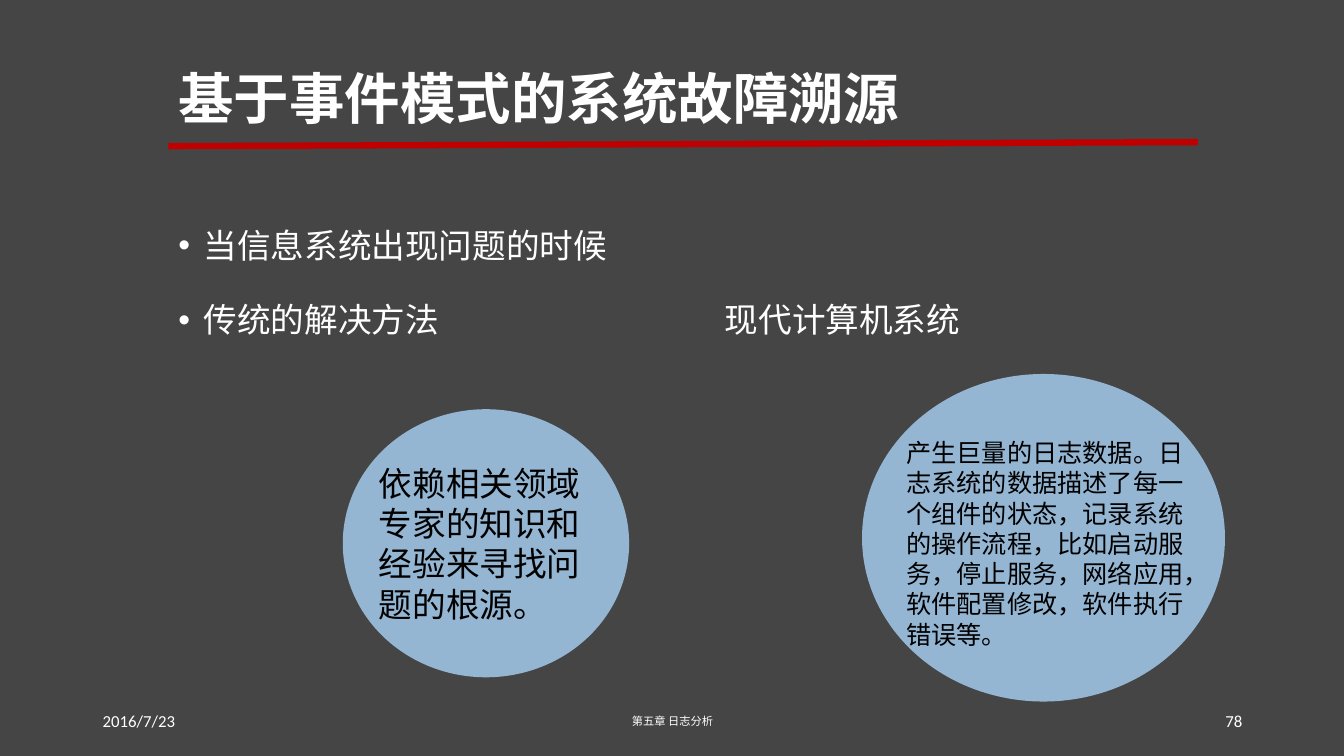
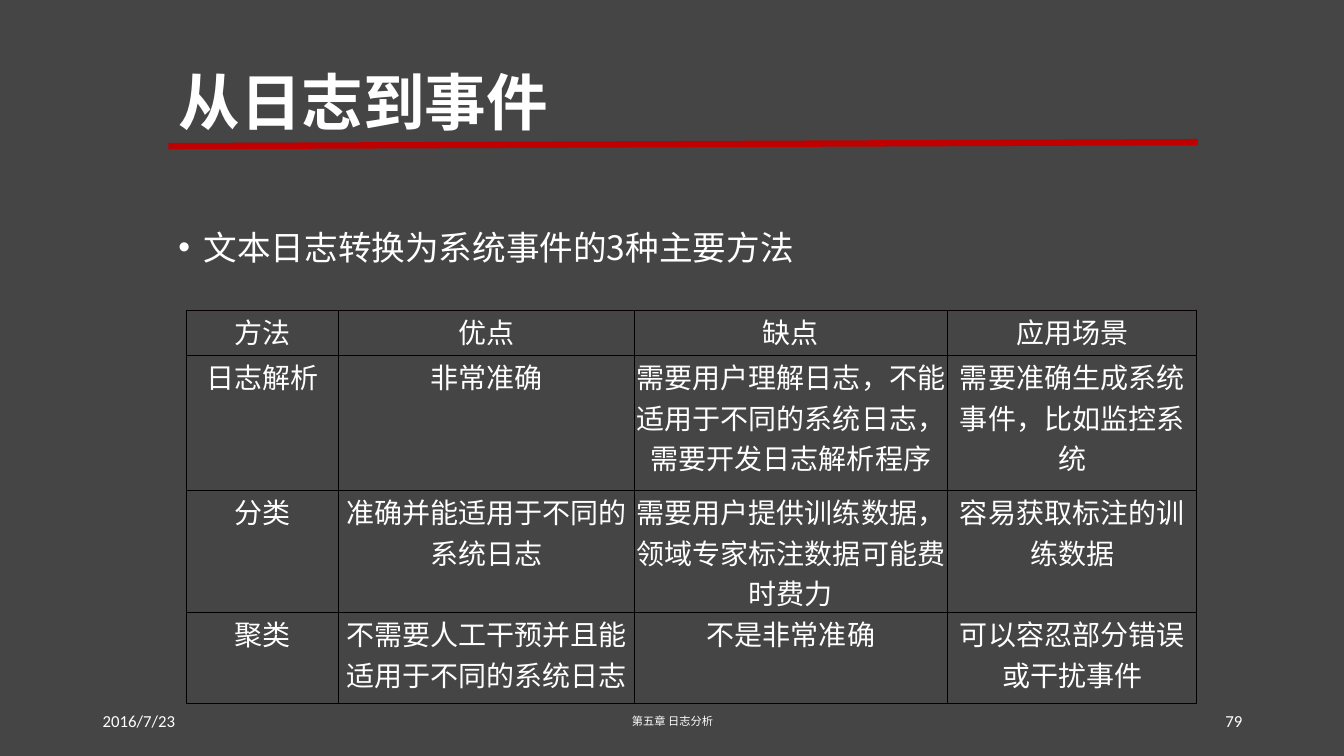
from dataclasses import dataclass
from typing import Any, Optional

from lxml.etree import SubElement
from pptx import Presentation
from pptx.dml.color import RGBColor
from pptx.enum.shapes import MSO_CONNECTOR, MSO_SHAPE
from pptx.enum.text import MSO_ANCHOR, MSO_AUTO_SIZE, PP_ALIGN
from pptx.oxml.ns import qn
from pptx.util import Inches, Pt


@dataclass(frozen=True)
class Theme:
    background: str = "454545"
    light: str = "FFFFFF"
    dark: str = "000000"
    accent: str = "C00000"
    circle: str = "94B6D2"
    outer_border: str = "080000"
    chinese_font: str = "Noto Sans CJK SC"
    latin_font: str = "Calibri"
    body_size: float = 24
    table_size: float = 20
    footer_size: float = 12
    chapter_size: float = 8


THEME = Theme()


@dataclass(frozen=True)
class Box:
    left: float
    top: float
    width: float
    height: float

    def lengths(self) -> tuple:
        return tuple(Inches(value) for value in (self.left, self.top, self.width, self.height))


@dataclass(frozen=True)
class TextStyle:
    size: float
    color: str = THEME.light
    font: str = THEME.chinese_font
    bold: bool = False


@dataclass(frozen=True)
class FooterPart:
    text: str
    box: Box
    alignment: PP_ALIGN
    style: TextStyle


@dataclass(frozen=True)
class Circle:
    outline: Box
    text_box: Box
    text: str
    size: float


@dataclass(frozen=True)
class Page:
    number: int
    title: str
    title_size: float
    title_top: float
    body_top: float
    bullets: tuple
    tab_position: Optional[float] = None


EVENT_PAGE = Page(
    78, "基于事件模式的系统故障溯源", 39.6, 0.28, 1.98,
    ("当信息系统出现问题的时候", "传统的解决方法\t现代计算机系统"), 5.42,
)
METHOD_PAGE = Page(79, "从日志到事件", 44, 0.32, 2, ("文本日志转换为系统事件的3种主要方法",))
CIRCLES = (
    Circle(
        Box(8.55, 3.71, 3.6, 3.25), Box(8.89, 4.29, 3.13, 2.2),
        "产生巨量的日志数据。日志系统的数据描述了每一个组件的状态，记录系统的操作流程，"
        "比如启动服务，停止服务，网络应用，软件配置修改，软件执行错误等。", 18,
    ),
    Circle(
        Box(3.4, 4.06, 2.84, 2.66), Box(3.66, 4.54, 2.33, 1.7),
        "依赖相关领域专家的知识和经验来寻找问题的根源。", 24,
    ),
)
METHOD_ROWS = (
    ("方法", "优点", "缺点", "应用场景"),
    ("日志解析", "非常准确", "需要用户理解日志，不能适用于不同的系统日志，需要开发日志解析程序",
     "需要准确生成系统事件，比如监控系统"),
    ("分类", "准确并能适用于不同的系统日志", "需要用户提供训练数据，领域专家标注数据可能费时费力",
     "容易获取标注的训练数据"),
    ("聚类", "不需要人工干预并且能适用于不同的系统日志", "不是非常准确",
     "可以容忍部分错误或干扰事件"),
)
COLUMN_WIDTHS = (1.51, 2.93, 3.11, 2.47)
ROW_HEIGHTS = (0.45, 1.34, 1.21, 0.9)


def color(value: str) -> RGBColor:
    return RGBColor.from_string(value)


def place(shape: Any, box: Box) -> None:
    shape.left, shape.top, shape.width, shape.height = box.lengths()


def add_text(paragraph: Any, text: str, style: TextStyle) -> None:
    run = paragraph.add_run()
    run.text = text
    font = run.font
    font.name = style.font
    font.size = Pt(style.size)
    font.bold = style.bold
    font.color.rgb = color(style.color)
    if style.font == THEME.chinese_font:
        SubElement(font._element, qn("a:ea"), typeface=style.font)


def add_text_box(slide: Any, box: Box, text: str, style: TextStyle,
                 alignment: PP_ALIGN = PP_ALIGN.LEFT,
                 anchor: MSO_ANCHOR = MSO_ANCHOR.TOP) -> None:
    frame = slide.shapes.add_textbox(*box.lengths()).text_frame
    frame.word_wrap = True
    frame.vertical_anchor = anchor
    paragraph = frame.paragraphs[0]
    paragraph.alignment = alignment
    add_text(paragraph, text, style)


def add_title(slide: Any, page: Page) -> None:
    title = slide.shapes.title
    place(title, Box(1.67, page.title_top, 10.21, 1.45))
    frame = title.text_frame
    frame.auto_size = MSO_AUTO_SIZE.NONE
    frame.vertical_anchor = MSO_ANCHOR.MIDDLE
    paragraph = frame.paragraphs[0]
    paragraph.alignment = PP_ALIGN.LEFT
    paragraph.line_spacing = 0.9
    add_text(paragraph, page.title, TextStyle(page.title_size, bold=True))


def add_bullets(slide: Any, page: Page) -> None:
    body = slide.placeholders[1]
    place(body, Box(1.67, page.body_top, 10.21, 4.76))
    frame = body.text_frame
    frame.auto_size = MSO_AUTO_SIZE.NONE
    for index, text in enumerate(page.bullets):
        paragraph = frame.add_paragraph() if index else frame.paragraphs[0]
        paragraph.line_spacing = 1.5
        paragraph.space_before = Pt(10)
        properties = paragraph._p.get_or_add_pPr()
        properties.set("marL", str(Inches(0.25)))
        properties.set("indent", str(-Inches(0.25)))
        SubElement(properties, qn("a:buFont"), typeface="Arial")
        SubElement(properties, qn("a:buChar"), char="•")
        if page.tab_position is not None:
            tabs = SubElement(properties, qn("a:tabLst"))
            SubElement(tabs, qn("a:tab"), pos=str(Inches(page.tab_position)), algn="l")
        add_text(paragraph, text, TextStyle(THEME.body_size))


def add_title_rule(slide: Any) -> None:
    rule = slide.shapes.add_connector(
        MSO_CONNECTOR.STRAIGHT, Inches(1.67), Inches(1.45), Inches(11.88), Inches(1.41)
    )
    rule.line.color.rgb = color(THEME.accent)
    rule.line.width = Pt(4.5)
    SubElement(rule._element.spPr, qn("a:effectLst"))


def add_footer(slide: Any, number: int) -> None:
    small = TextStyle(THEME.footer_size, font=THEME.latin_font)
    parts = (
        FooterPart("2016/7/23", Box(0.92, 6.95, 3, 0.4), PP_ALIGN.LEFT, small),
        FooterPart("第五章 日志分析", Box(4.42, 6.95, 4.5, 0.4), PP_ALIGN.CENTER,
                   TextStyle(THEME.chapter_size)),
        FooterPart(str(number), Box(9.42, 6.95, 3, 0.4), PP_ALIGN.RIGHT, small),
    )
    for part in parts:
        add_text_box(slide, part.box, part.text, part.style, part.alignment, MSO_ANCHOR.MIDDLE)


def add_page(presentation: Any, page: Page) -> Any:
    slide = presentation.slides.add_slide(presentation.slide_layouts[1])
    background = slide.background.fill
    background.solid()
    background.fore_color.rgb = color(THEME.background)
    add_title_rule(slide)
    add_title(slide, page)
    add_bullets(slide, page)
    add_footer(slide, page.number)
    return slide


def add_circle(slide: Any, circle: Circle) -> None:
    shape = slide.shapes.add_shape(MSO_SHAPE.OVAL, *circle.outline.lengths())
    shape.shadow.inherit = False
    shape.fill.solid()
    shape.fill.fore_color.rgb = color(THEME.circle)
    shape.line.fill.background()
    add_text_box(slide, circle.text_box, circle.text,
                 TextStyle(circle.size, THEME.dark, THEME.latin_font))


def add_border(cell: Any, side: str, border_color: str, width: float) -> None:
    properties = cell._tc.get_or_add_tcPr()
    line = SubElement(properties, qn(f"a:ln{side}"), w=str(Pt(width)))
    fill = SubElement(line, qn("a:solidFill"))
    SubElement(fill, qn("a:srgbClr"), val=border_color)


def add_method_table(slide: Any) -> None:
    box = Box(1.85, 3.08, sum(COLUMN_WIDTHS), sum(ROW_HEIGHTS))
    table = slide.shapes.add_table(len(METHOD_ROWS), len(COLUMN_WIDTHS), *box.lengths()).table
    table.first_row = False
    table.horz_banding = False
    for column, width in zip(table.columns, COLUMN_WIDTHS):
        column.width = Inches(width)
    inner = (THEME.dark, 0.75)
    outer = (THEME.outer_border, 1)
    last_row = len(METHOD_ROWS) - 1
    for row_index, (texts, height) in enumerate(zip(METHOD_ROWS, ROW_HEIGHTS)):
        table.rows[row_index].height = Inches(height)
        borders = {
            "L": inner,
            "R": inner,
            "T": outer if row_index <= 1 else inner,
            "B": outer if row_index in (0, last_row) else inner,
        }
        for column_index, text in enumerate(texts):
            cell = table.cell(row_index, column_index)
            cell.margin_left = cell.margin_right = cell.margin_top = cell.margin_bottom = 0
            for side, (border_color, width) in borders.items():
                add_border(cell, side, border_color, width)
            cell.fill.background()
            paragraph = cell.text_frame.paragraphs[0]
            paragraph.alignment = PP_ALIGN.CENTER
            add_text(paragraph, text, TextStyle(THEME.table_size))


def main() -> None:
    presentation = Presentation()
    presentation.slide_width = Inches(13.33)
    presentation.slide_height = Inches(7.5)
    event_slide = add_page(presentation, EVENT_PAGE)
    for circle in CIRCLES:
        add_circle(event_slide, circle)
    add_method_table(add_page(presentation, METHOD_PAGE))
    presentation.save("out.pptx")


if __name__ == "__main__":
    main()
